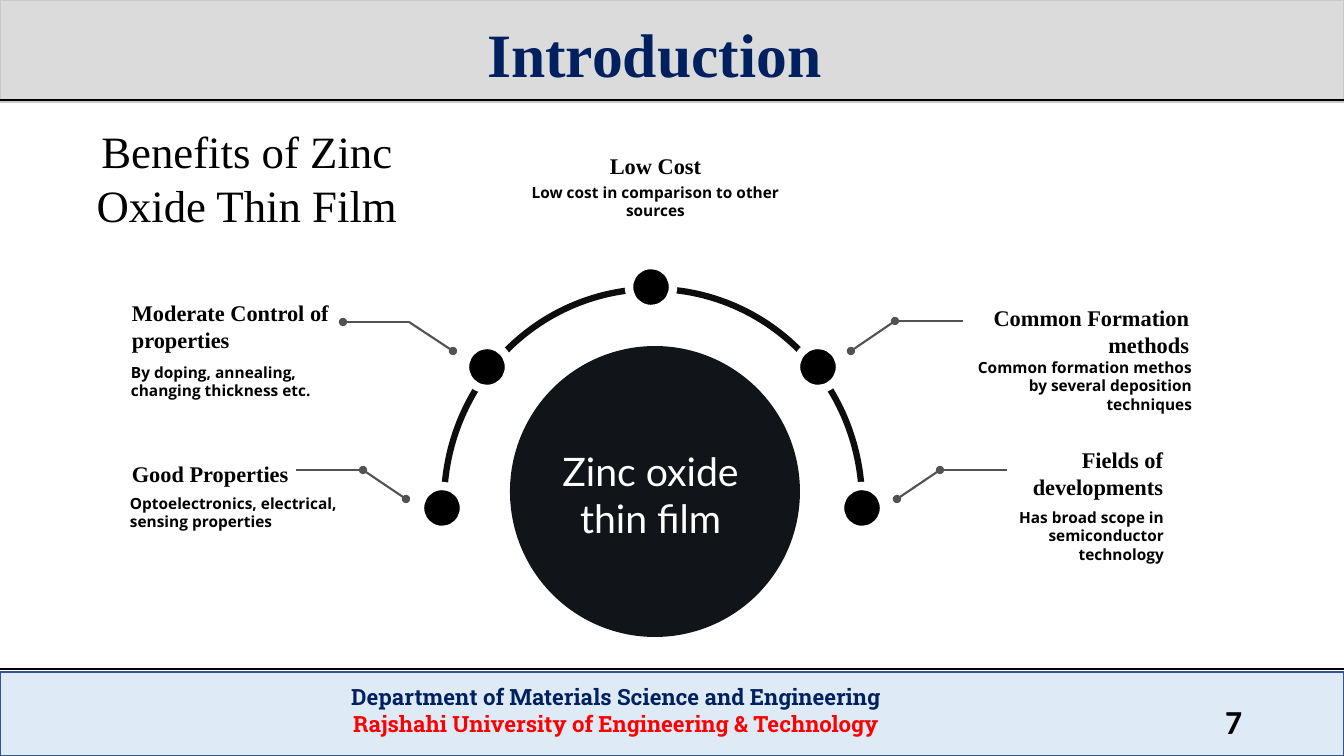
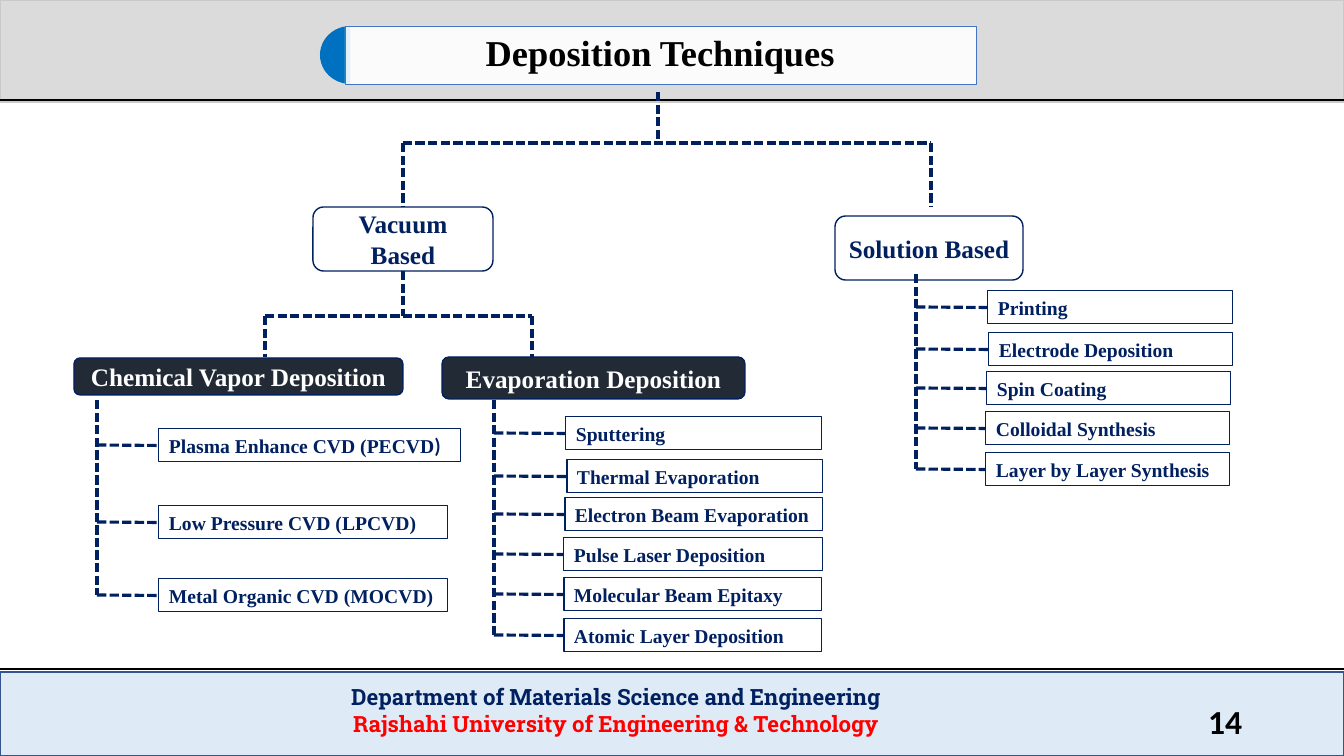
from lxml import etree
from pptx import Presentation
from pptx import util as u
from pptx.dml.color import RGBColor
from pptx.enum import dml, shapes, text
from pptx.oxml import ns

PX = 914400 / 100.8
SLIDE_W, SLIDE_H = 1344, 756

BLACK = RGBColor(0x00, 0x00, 0x00)
WHITE = RGBColor(0xFF, 0xFF, 0xFF)
RED = RGBColor(0xFF, 0x00, 0x00)
NAVY = RGBColor(0x00, 0x20, 0x60)
BAND_GREY = RGBColor(0xDB, 0xDB, 0xDB)
BAND_EDGE = RGBColor(0xC9, 0xC9, 0xC9)
FOOTER_BLUE = RGBColor(0xDE, 0xEB, 0xF7)
FOOTER_EDGE = RGBColor(0x32, 0x54, 0x91)
ARC_BLACK = RGBColor(0x0D, 0x0D, 0x0D)
CORE_BLACK = RGBColor(0x11, 0x15, 0x1A)
LEADER_GREY = RGBColor(0x52, 0x52, 0x52)
SLATE = RGBColor(0x22, 0x2A, 0x35)
ACCENT_BLUE = RGBColor(0x00, 0x70, 0xC0)
PLATE_EDGE = RGBColor(0x44, 0x72, 0xC4)

LEFT, CENTER, RIGHT = text.PP_ALIGN.LEFT, text.PP_ALIGN.CENTER, text.PP_ALIGN.RIGHT
TOP, MIDDLE, BOTTOM = text.MSO_ANCHOR.TOP, text.MSO_ANCHOR.MIDDLE, text.MSO_ANCHOR.BOTTOM
SHAPE = shapes.MSO_SHAPE
TOP_SIDE, LEFT_SIDE, BOTTOM_SIDE = 0, 1, 2


def face(name, size, color, bold=True):
    return {"name": name, "size": u.Pt(size), "bold": bold, "color": color}


TITLE = face("Times New Roman", 44, NAVY)
SUBTITLE = face("Times New Roman", 32, BLACK, False)
PLATE_TITLE = face("Times New Roman", 26, BLACK)
HEADING = face("Times New Roman", 16, BLACK)
DETAIL = face("Open Sans", 11, BLACK)
CORE = face("Lato", 28, WHITE, False)
FAMILY = face("Times New Roman", 18, NAVY)
METHOD = face("Times New Roman", 18, WHITE)
ITEM = face("Times New Roman", 14, NAVY)
DEPARTMENT = face("Roboto Slab", 16, NAVY)
UNIVERSITY = face("Roboto Slab", 16, RED)
PAGE = face("Calibri", 24, BLACK)


def px(*lengths):
    return [u.Emu(round(n * PX)) for n in lengths]


def add_xml(parent, tag, **attributes):
    return etree.SubElement(parent, ns.qn(tag), attributes)


# Element kinds
def write(frame, lines, align=CENTER, anchor=TOP):
    """Each line is a list of (words, format) runs."""
    frame.word_wrap = True
    frame.vertical_anchor = anchor
    for i, runs in enumerate(lines):
        paragraph = frame.add_paragraph() if i else frame.paragraphs[0]
        paragraph.alignment = align
        for words, fmt in runs:
            run = paragraph.add_run()
            run.text = words
            for key, value in fmt.items():
                if key == "color":
                    run.font.color.rgb = value
                else:
                    setattr(run.font, key, value)


def add_label(slide, box, words, fmt, align=CENTER, anchor=TOP):
    label = slide.shapes.add_textbox(*px(*box))
    write(label.text_frame, [[(words, fmt)]], align, anchor)
    return label


def add_block(slide, kind, box, fill=None, line=None, weight=1, adjust=()):
    block = slide.shapes.add_shape(kind, *px(*box))
    block.shadow.inherit = False
    for i, value in enumerate(adjust):
        block.adjustments[i] = value
    if fill is None:
        block.fill.background()
    else:
        block.fill.solid()
        block.fill.fore_color.rgb = fill
    if line is None:
        block.line.fill.background()
    else:
        block.line.color.rgb = line
        block.line.width = u.Pt(weight)
    return block


def add_line(slide, start, end, color, weight, dash=None, ovals=()):
    line = slide.shapes.add_connector(shapes.MSO_CONNECTOR.STRAIGHT, *px(*start, *end))
    line.line.color.rgb = color
    line.line.width = u.Pt(weight)
    if dash:
        line.line.dash_style = dash
    outline = line.line._get_or_add_ln()
    for oval_end in ovals:
        add_xml(outline, oval_end, type="oval")
    add_xml(line._element.spPr, "a:effectLst")
    return line


# Shared by both slides
def add_frame(slide, page):
    def rule(y):
        add_line(slide, (0, y), (SLIDE_W, y), BLACK, 2)

    rule(669)
    rule(102)
    add_block(slide, SHAPE.RECTANGLE, (0, 0, SLIDE_W, 102), BAND_GREY, BAND_EDGE)
    rule(100)
    add_block(slide, SHAPE.RECTANGLE, (0, 672, SLIDE_W, 84), FOOTER_BLUE, FOOTER_EDGE)
    footer = slide.shapes.add_textbox(*px(213, 678, 806, 65))
    write(footer.text_frame, [
        [("Department of Materials Science and Engineering", DEPARTMENT)],
        [("Rajshahi University of Engineering & Technology", UNIVERSITY)],
    ])
    add_label(slide, (950, 701, 302, 40), page, PAGE, RIGHT, MIDDLE)


# Introduction
BENEFITS = [
    ("Low Cost", (517, 147, 277, 37),
     "Low cost in comparison to other sources", (517, 178, 277, 47), CENTER),
    ("Moderate Control of properties", (122, 294, 222, 65),
     "By doping, annealing, changing thickness etc.", (121, 358, 223, 47), LEFT),
    ("Good Properties", (122, 455, 222, 37),
     "Optoelectronics, electrical, sensing properties", (120, 489, 229, 47), LEFT),
    ("Common Formation methods", (954, 299, 245, 65),
     "Common formation methos by several deposition techniques",
     (954, 353, 248, 67), RIGHT),
    ("Fields of developments", (951, 441, 222, 65),
     "Has broad scope in semiconductor technology", (962, 503, 212, 67), RIGHT),
]
DOT_CENTERS = [(651, 287), (818, 367), (442, 508), (862, 508), (487, 367)]
DOT = 44
# near the dot, elbow, far end, which end of the level part has the oval
LEADERS = [
    ((406, 499), (363, 470), (296, 470), "a:headEnd"),
    ((453, 351), (409, 322), (343, 322), "a:tailEnd"),
    ((851, 351), (895, 321), (963, 321), "a:headEnd"),
    ((897, 499), (940, 470), (1007, 470), "a:headEnd"),
]


def add_title(slide, words):
    title = add_label(slide, (84, 10, 1141, 85), words, TITLE, CENTER, BOTTOM)
    properties = title.text_frame.paragraphs[0].runs[0].font._element
    effects = etree.Element(ns.qn("a:effectLst"))
    shadow = add_xml(effects, "a:outerShdw", blurRad="38100", dist="38100",
                     dir="2700000", algn="tl")
    tone = add_xml(shadow, "a:srgbClr", val="000000")
    add_xml(tone, "a:alpha", val="43000")
    properties.find(ns.qn("a:solidFill")).addnext(effects)


def build_introduction(slide):
    add_frame(slide, "7")
    add_title(slide, "Introduction")
    add_label(slide, (77, 119, 340, 119), "Benefits of Zinc Oxide Thin Film", SUBTITLE)

    # Arc with its dots
    add_block(slide, SHAPE.ARC, (444, 289, 418, 428), None, ARC_BLACK, 4.5, (108, 0))
    for x, y in DOT_CENTERS:
        add_block(slide, SHAPE.OVAL, (x - DOT // 2, y - DOT // 2, DOT, DOT),
                  BLACK, WHITE, 6)
    for near, elbow, far, oval_end in LEADERS:
        add_line(slide, near, elbow, LEADER_GREY, 1.5, ovals=["a:headEnd"])
        add_line(slide, elbow, far, LEADER_GREY, 1.5, ovals=[oval_end])

    for heading, heading_box, detail, detail_box, align in BENEFITS:
        add_label(slide, heading_box, heading, HEADING, align)
        add_label(slide, detail_box, detail, DETAIL, align)

    add_block(slide, SHAPE.OVAL, (510, 346, 290, 291), CORE_BLACK)
    add_label(slide, (535, 442, 231, 105), "Zinc oxide thin film", CORE)


# Deposition techniques: items are left, top, width, words
ITEM_H = 33
CVD_ITEMS = [
    (159, 429, 302, "Plasma Enhance CVD (PECVD)"),
    (159, 506, 289, "Low Pressure CVD (LPCVD)"),
    (159, 579, 289, "Metal Organic CVD (MOCVD)"),
]
EVAPORATION_ITEMS = [
    (566, 417, 256, "Sputtering"),
    (567, 460, 256, "Thermal Evaporation"),
    (565, 498, 258, "Electron Beam Evaporation"),
    (564, 538, 259, "Pulse Laser Deposition"),
    (564, 578, 258, "Molecular Beam Epitaxy"),
    (564, 619, 258, "Atomic Layer Deposition"),
]
SOLUTION_ITEMS = [
    (988, 291, 245, "Printing"),
    (989, 333, 244, "Electrode Deposition"),
    (987, 372, 244, "Spin Coating"),
    (986, 412, 244, "Colloidal Synthesis"),
    (986, 453, 244, "Layer by Layer Synthesis"),
]


def add_branch(slide, start, end):
    return add_line(slide, start, end, NAVY, 2.25, dml.MSO_LINE.SQUARE_DOT)


def add_node(slide, box, words, fmt, fill):
    node = add_block(slide, SHAPE.ROUNDED_RECTANGLE, box, fill, NAVY)
    write(node.text_frame, [[(words, fmt)]], CENTER, MIDDLE)
    return node


def add_items(slide, spine_x, spine_top, items):
    for left, top, width, words in items:
        item = add_block(slide, SHAPE.RECTANGLE, (left, top, width, ITEM_H),
                         WHITE, NAVY, 0.75)
        runs = [(words, ITEM)]
        if words.endswith("(PECVD)"):
            runs = [(words[:-1], ITEM), (")", {**ITEM, "name": "Lato"})]
        write(item.text_frame, [runs], LEFT, MIDDLE)
        middle = top + ITEM_H // 2
        twig = add_branch(slide, (spine_x, middle), (left, middle))
        twig.end_connect(item, LEFT_SIDE)
    add_branch(slide, (spine_x, spine_top), (spine_x, middle))


def add_title_plate(slide, words):
    add_block(slide, SHAPE.PIE, (320, 26, 61, 58), ACCENT_BLUE, adjust=(54, 162))
    plate = add_block(slide, SHAPE.RECTANGLE, (345, 26, 631, 58), WHITE, PLATE_EDGE, 0.5)
    tone = plate._element.spPr.find(ns.qn("a:solidFill"))[0]
    add_xml(tone, "a:alpha", val="90000")
    write(plate.text_frame, [[(words, PLATE_TITLE)]], CENTER, MIDDLE)
    plate.text_frame.paragraphs[0].line_spacing = 0.9


def build_deposition(slide):
    add_frame(slide, "14")
    add_title_plate(slide, "Deposition Techniques")

    vacuum = add_node(slide, (313, 207, 180, 64), "Vacuum Based", FAMILY, WHITE)
    add_node(slide, (835, 216, 188, 64), "Solution Based", FAMILY, WHITE)
    add_node(slide, (74, 358, 329, 37), "Chemical Vapor Deposition", METHOD, SLATE)
    add_node(slide, (442, 357, 303, 42), "Evaporation Deposition", METHOD, SLATE)

    # Title to families
    add_branch(slide, (658, 92), (658, 143))
    add_branch(slide, (403, 143), (931, 143))
    add_branch(slide, (403, 143), (403, 207)).end_connect(vacuum, TOP_SIDE)
    add_branch(slide, (931, 143), (931, 207))

    # Vacuum family to methods
    add_branch(slide, (403, 271), (403, 316)).begin_connect(vacuum, BOTTOM_SIDE)
    add_branch(slide, (265, 316), (532, 316))
    for x in (265, 532):
        add_branch(slide, (x, 316), (x, 357))

    add_items(slide, 97, 400, CVD_ITEMS)
    add_items(slide, 494, 400, EVAPORATION_ITEMS)
    add_items(slide, 916, 274, SOLUTION_ITEMS)


def main():
    deck = Presentation()
    deck.slide_width, deck.slide_height = px(SLIDE_W, SLIDE_H)
    blank = deck.slide_layouts[6]
    for build in (build_introduction, build_deposition):
        build(deck.slides.add_slide(blank))
    deck.save("out.pptx")


if __name__ == "__main__":
    main()
